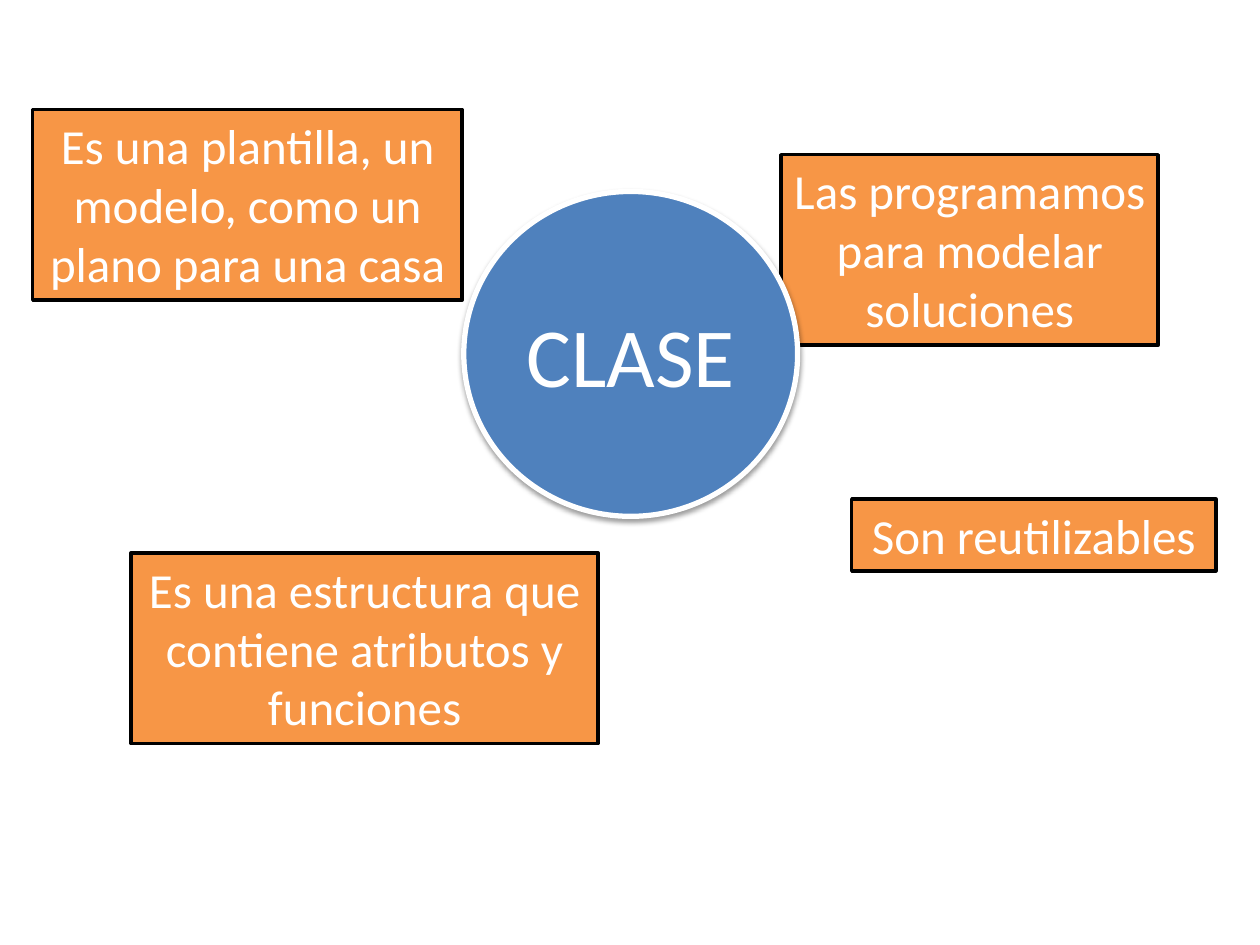
from dataclasses import dataclass

from lxml.etree import SubElement
from pptx import Presentation
from pptx.dml.color import RGBColor
from pptx.enum.shapes import MSO_SHAPE as Shape
from pptx.enum.text import MSO_ANCHOR as Anchor, MSO_AUTO_SIZE as AutoSize, PP_ALIGN as Align
from pptx.oxml.ns import qn
from pptx.util import Cm, Pt


@dataclass(frozen=True)
class Theme:
    font: str = "Calibri"
    note_size: int = 28
    center_size: int = 48
    orange: str = "F79646"
    blue: str = "4F81BD"
    white: str = "FFFFFF"
    black: str = "000000"


theme = Theme()


def add_label(page, kind, place, text, size, fill, line, line_width):
    """Add a filled shape with centred white text; place is in centimetres."""
    box = page.shapes.add_shape(kind, *(Cm(length) for length in place))
    box.shadow.inherit = False
    box.fill.solid()
    box.fill.fore_color.rgb = RGBColor.from_string(fill)
    box.line.color.rgb = RGBColor.from_string(line)
    box.line.width = Pt(line_width)
    box.text_frame.word_wrap = True
    para = box.text_frame.paragraphs[0]
    para.text = text
    para.alignment = Align.CENTER
    para.font.name = theme.font
    para.font.size = Pt(size)
    para.font.color.rgb = RGBColor.from_string(theme.white)
    return box


deck = Presentation()
deck.slide_width, deck.slide_height = Cm(25.4), Cm(19.05)
page = deck.slides.add_slide(deck.slide_layouts[6])

notes = [
    ((0.66, 2.21, 8.66, 3.84), "Es una plantilla, un modelo, como un plano para una casa"),
    ((15.75, 3.12, 7.6, 3.84), "Las programamos para modelar soluciones"),
    ((2.64, 11.15, 9.42, 3.84), "Es una estructura que contiene atributos y funciones"),
    ((17.17, 10.06, 7.34, 1.45), "Son reutilizables"),
]
for place, text in notes:
    note = add_label(page, Shape.RECTANGLE, place, text,
                     theme.note_size, theme.orange, theme.black, 2)
    note.text_frame.vertical_anchor = Anchor.TOP
    note.text_frame.auto_size = AutoSize.SHAPE_TO_FIT_TEXT

circle = add_label(page, Shape.OVAL, (9.35, 3.86, 6.73, 6.55), "CLASE",
                   theme.center_size, theme.blue, theme.white, 3)
circle.text_frame.vertical_anchor = Anchor.MIDDLE

# Soft shadow straight below the circle
effects = circle.element.spPr.find(qn("a:effectLst"))
shadow = SubElement(effects, qn("a:outerShdw"), blurRad=str(Pt(3.1)), dist=str(Pt(1.6)),
                    dir="5400000", rotWithShape="0")
color = SubElement(shadow, qn("a:srgbClr"), val=theme.black)
SubElement(color, qn("a:alpha"), val="38000")

deck.save("out.pptx")
